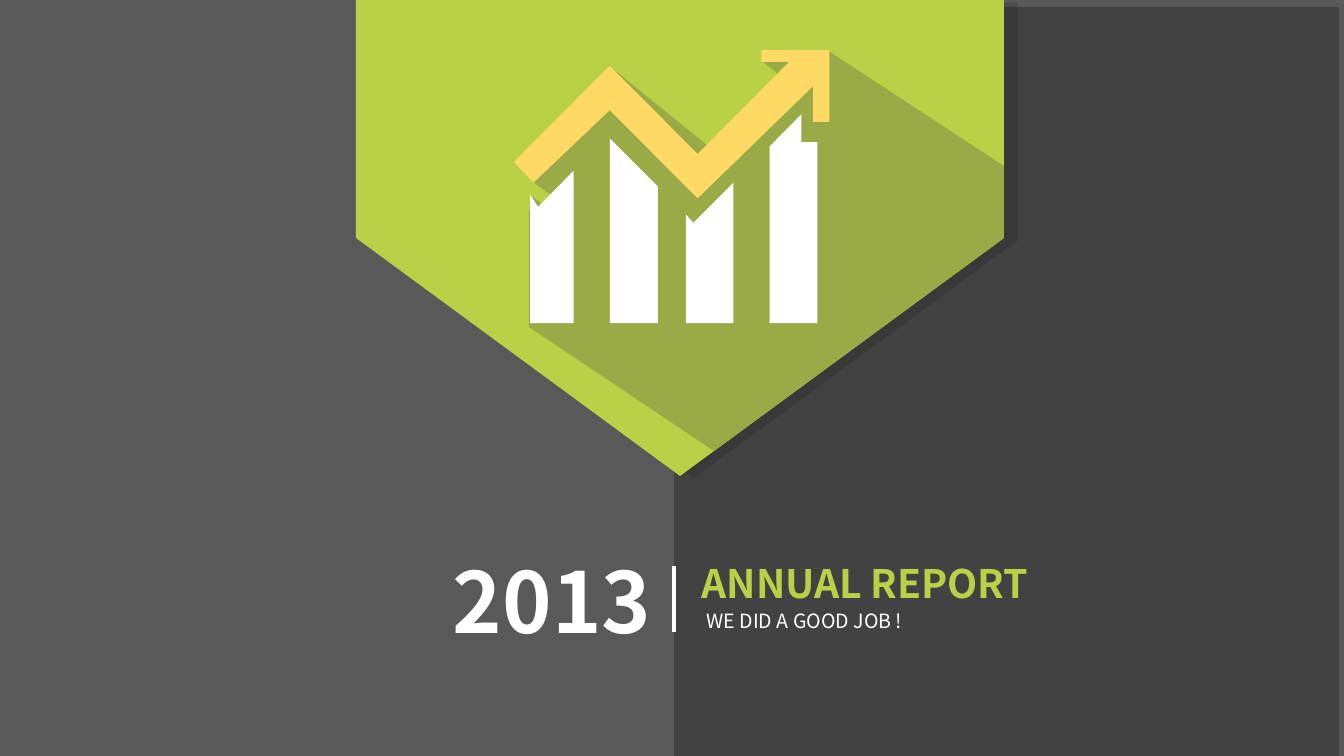
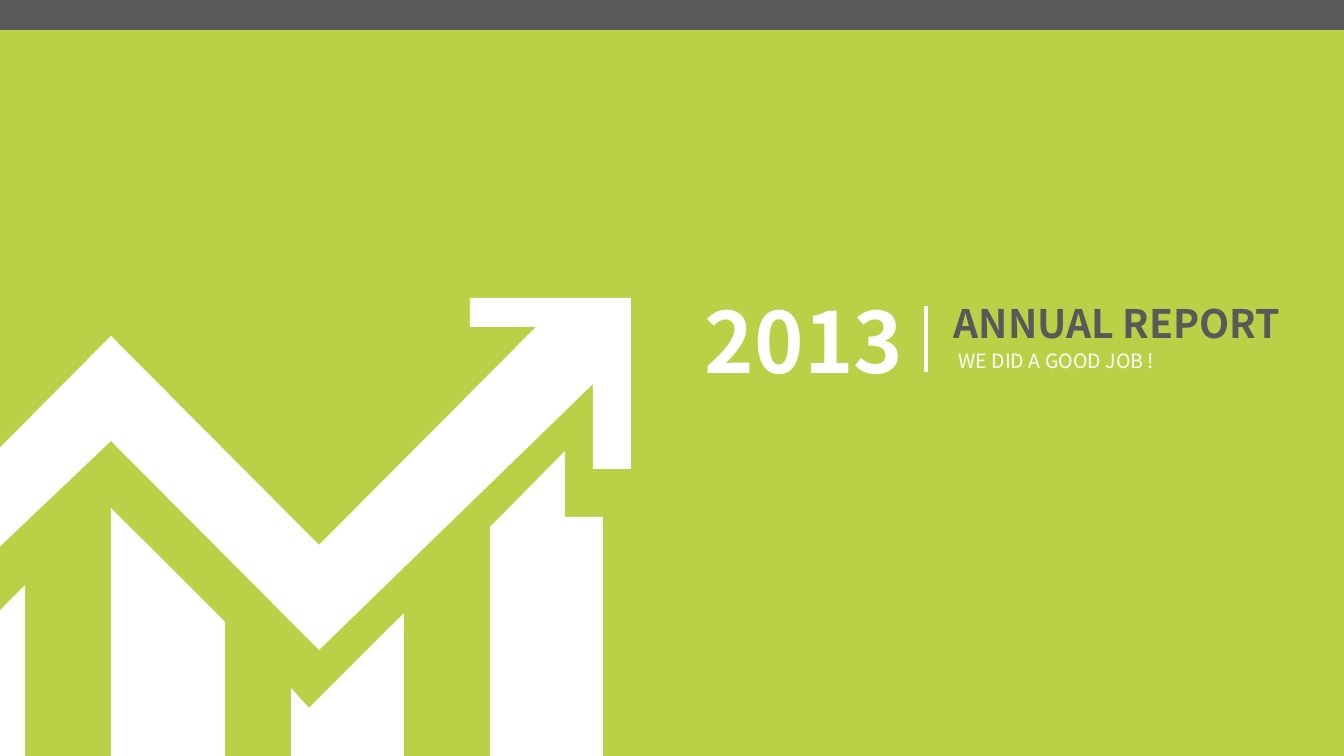
import lxml.etree
import pptx
import pptx.dml.color
import pptx.enum.dml
import pptx.enum.shapes
import pptx.enum.text
import pptx.oxml.ns
import pptx.util

PX = 914400 / 100.8
FONT = "Noto Sans CJK SC"
GREEN, GRAY, WHITE = "BAD147", "595959", "FFFFFF"
OLIVE, GOLD, BLACK = "99AA46", "FFD966", "000000"

rgb = pptx.dml.color.RGBColor.from_string
qn = pptx.oxml.ns.qn
SHAPE = pptx.enum.shapes.MSO_SHAPE


def paint(sp, color):
    sp.fill.solid()
    sp.fill.fore_color.rgb = rgb(color)
    sp.line.fill.background()
    sp.shadow.inherit = False
    return sp


def add_text(s, text, left, top, width, height, size, color=WHITE, bold=False):
    box = s.shapes.add_textbox(*[round(v * PX) for v in (left, top, width, height)])
    tf = box.text_frame
    tf.word_wrap = False
    tf.auto_size = pptx.enum.text.MSO_AUTO_SIZE.SHAPE_TO_FIT_TEXT
    p = tf.paragraphs[0]
    p.alignment = pptx.enum.text.PP_ALIGN.CENTER
    r = p.add_run()
    r.text = text
    r.font.name = FONT
    r.font.size = pptx.util.Pt(size)
    r.font.bold = bold
    r.font.color.rgb = rgb(color)


bars = [
    [(-78, 641), (-78, 946), (25, 946), (25, 585), (-59, 670)],
    [(111, 508), (111, 946), (225, 946), (225, 622)],
    [(291, 688), (291, 946), (404, 946), (404, 613), (309, 708)],
    [(565, 451), (490, 527), (490, 946), (603, 946), (603, 517), (565, 517)],
]
arrow = [
    (470, 298), (470, 327), (536, 327), (319, 545), (111, 336),
    (-116, 564), (-70, 613), (111, 441), (319, 650), (593, 384),
    (593, 469), (631, 469), (631, 298),
]
long_shadows = [
    [(600, 245), (596, 251), (531, 207), (530, 195)],
    [(594, 206), (599, 230), (533, 182), (549, 158)],
    [(822, 89), (826, 113), (762, 61), (784, 54)],
    [
        (827, 50), (1004, 166), (1004, 238), (714, 451), (529, 327),
        (529, 210), (551, 210), (551, 170), (529, 170), (529, 154),
        (554, 161), (613, 69), (723, 158),
    ],
]

prs = pptx.Presentation()
prs.slide_width = round(1344 * PX)
prs.slide_height = round(756 * PX)

covers = [
    dict(back=GRAY, block=(SHAPE.RECTANGLE, 674, 7, 665, 756, BLACK),
         shadows=long_shadows, icon=(563, -76, 0.422), arrow=GOLD,
         caption=(674, 566), title=GREEN),
    dict(back=GREEN, block=(SHAPE.RECTANGLE, 0, 0, 1344, 30, GRAY),
         shadows=[], icon=(0, 0, 1), arrow=WHITE,
         caption=(926, 306), title=GRAY),
]

for cover in covers:
    s = prs.slides.add_slide(prs.slide_layouts[6])
    s.background.fill.solid()
    s.background.fill.fore_color.rgb = rgb(cover["back"])

    kind, *frame, color = cover["block"]
    block = paint(s.shapes.add_shape(kind, *[round(v * PX) for v in frame]), color)

    if cover["shadows"]:
        tint = block._element.spPr.find(".//" + qn("a:srgbClr"))
        lxml.etree.SubElement(tint, qn("a:alpha"), val="25000")

        frame = [round(v * PX) for v in (442, -86, 476, 648)]
        banner = paint(s.shapes.add_shape(SHAPE.PENTAGON, *frame), GREEN)
        banner.rotation = 90
        effects = banner._element.spPr.find(qn("a:effectLst"))
        drop = lxml.etree.SubElement(
            effects, qn("a:outerShdw"), blurRad="0", dist="127000",
            dir="600000", algn="tl", rotWithShape="0")
        tint = lxml.etree.SubElement(drop, qn("a:srgbClr"), val=BLACK)
        lxml.etree.SubElement(tint, qn("a:alpha"), val="12000")

    icon = cover["icon"]
    outlines = [(points, OLIVE, (0, 0, 1)) for points in cover["shadows"]]
    outlines += [(points, WHITE, icon) for points in bars]
    outlines.append((arrow, cover["arrow"], icon))
    for points, color, (left, top, zoom) in outlines:
        outline = s.shapes.build_freeform(*points[0], scale=PX * zoom)
        outline.add_line_segments(points[1:], close=True)
        paint(outline.convert_to_shape(round(left * PX), round(top * PX)), color)

    x, y = cover["caption"]
    add_text(s, "ANNUAL REPORT", x + 6, y - 12, 370, 57, 28, cover["title"], True)
    add_text(s, "WE DID A GOOD JOB !", x + 10, y + 38, 241, 34, 14)
    add_text(s, "2013", x - 237, y - 21, 230, 112, 60, bold=True)
    ends = [round(v * PX) for v in (x, y, x, y + 66)]
    divider = s.shapes.add_connector(pptx.enum.shapes.MSO_CONNECTOR.STRAIGHT, *ends)
    divider.line.color.rgb = rgb(WHITE)
    divider.line.width = pptx.util.Pt(3)
    lxml.etree.SubElement(divider._element.spPr, qn("a:effectLst"))

prs.save("out.pptx")
